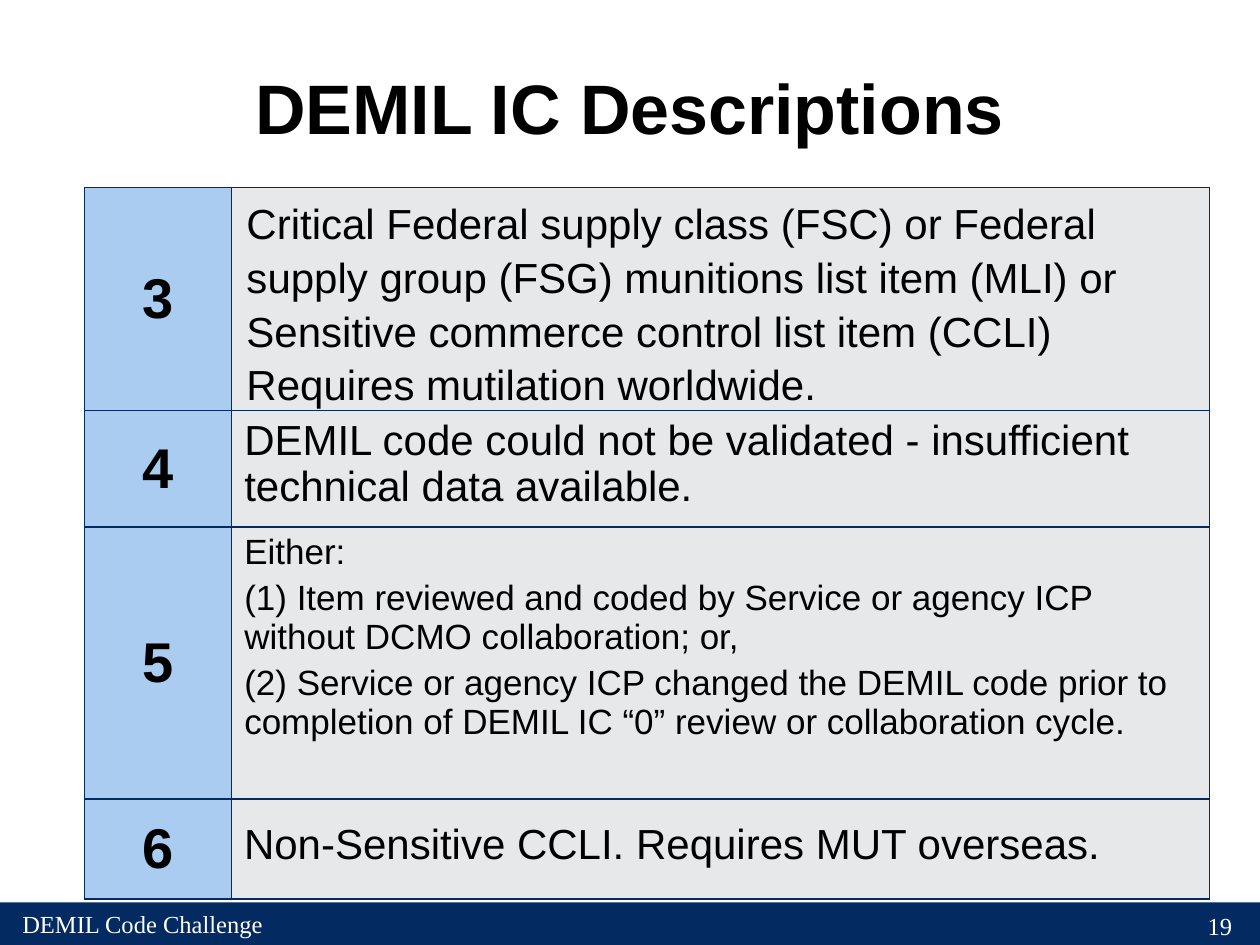
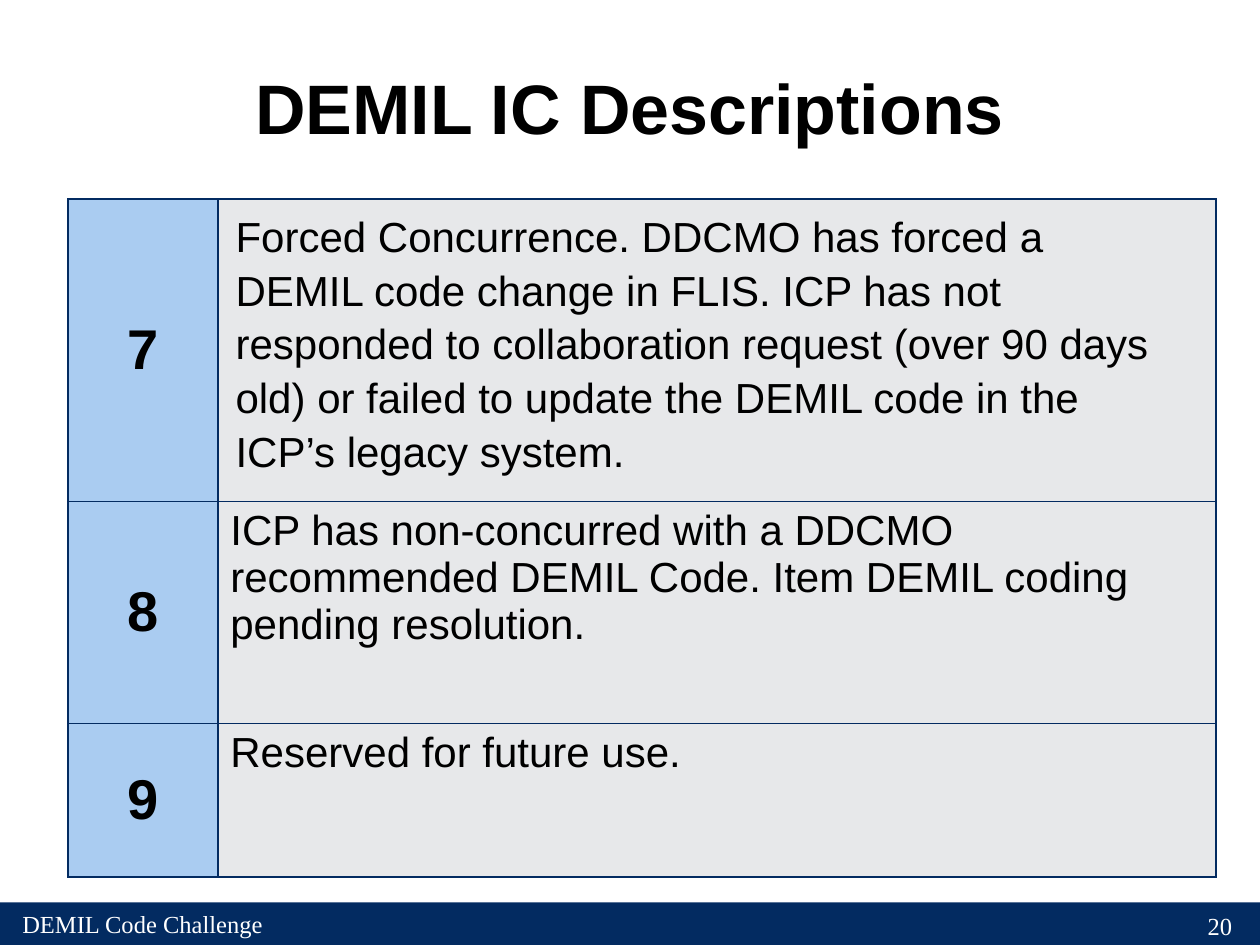
from dataclasses import dataclass, field

from lxml.etree import SubElement
from pptx import Presentation
from pptx.dml.color import RGBColor
from pptx.enum.shapes import MSO_SHAPE as Preset
from pptx.enum.text import MSO_ANCHOR as Anchor, PP_ALIGN as Align
from pptx.oxml.ns import qn
from pptx.util import Cm, Pt


@dataclass(frozen=True)
class Theme:
    navy: str = "032B61"
    code_fill: str = "AACCF1"
    text_fill: str = "E7E8EA"
    black: str = "000000"
    white: str = "FFFFFF"
    sans: str = "Arial"
    serif: str = "Times New Roman"
    title_size: int = 40
    code_size: int = 32
    body_size: int = 24
    small_size: int = 20
    footer_size: int = 14
    border: float = 1


THEME = Theme()


@dataclass(frozen=True)
class TextStyle:
    size: int
    font: str = THEME.sans
    color: str = THEME.black
    bold: bool = False
    align: Align = Align.LEFT
    anchor: Anchor = Anchor.TOP
    line_spacing: float = 1.0


TITLE = TextStyle(THEME.title_size, bold=True, align=Align.CENTER, anchor=Anchor.MIDDLE)
CODE = TextStyle(THEME.code_size, bold=True, align=Align.CENTER, anchor=Anchor.MIDDLE)
BODY = TextStyle(THEME.body_size)
SMALL = TextStyle(THEME.small_size)
OVERLAY = TextStyle(THEME.body_size, line_spacing=1.07)
FOOTER = TextStyle(THEME.footer_size, THEME.serif, THEME.white)
PAGE_NUMBER = TextStyle(THEME.footer_size, THEME.serif, THEME.white, align=Align.RIGHT)


@dataclass(frozen=True)
class Area:
    """Left, top, width and height in centimetres."""
    left: float
    top: float
    width: float
    height: float

    def lengths(self) -> tuple:
        return Cm(self.left), Cm(self.top), Cm(self.width), Cm(self.height)


@dataclass(frozen=True)
class CodeRow:
    code: str
    height: float
    lines: tuple = ()
    style: TextStyle = BODY


@dataclass(frozen=True)
class Overlay:
    """A description laid over an empty table cell."""
    area: Area
    text: str


@dataclass(frozen=True)
class CodePage:
    number: int
    left: float
    top: float
    columns: tuple
    rows: tuple
    overlays: tuple = field(default=())


PAGES = (
    CodePage(
        19, 1.7, 3.78, (2.97, 19.71),
        (
            CodeRow("3", 4.5),
            CodeRow("4", 2.34, (
                "DEMIL code could not be validated - insufficient technical data available.",
            )),
            CodeRow("5", 5.49, (
                "Either:",
                "(1) Item reviewed and coded by Service or agency ICP without DCMO "
                "collaboration; or,",
                "(2) Service or agency ICP changed the DEMIL code prior to completion of "
                "DEMIL IC “0” review or collaboration cycle.",
            ), SMALL),
            CodeRow("6", 2.01),
        ),
        (
            Overlay(Area(4.72, 3.78, 19.28, 4.37),
                    "Critical Federal supply class (FSC) or Federal supply group (FSG) "
                    "munitions list item (MLI) or Sensitive commerce control list item "
                    "(CCLI) Requires mutilation worldwide."),
            Overlay(Area(4.67, 16.28, 19.28, 1.27),
                    "Non-Sensitive CCLI. Requires MUT overseas."),
        ),
    ),
    CodePage(
        20, 1.37, 4.01, (3.02, 20.12),
        (
            CodeRow("7", 6.1),
            CodeRow("8", 4.47, (
                "ICP has non-concurred with a DDCMO recommended DEMIL Code. Item DEMIL "
                "coding pending resolution.",
            )),
            CodeRow("9", 3.1, ("Reserved for future use.",)),
        ),
        (
            Overlay(Area(4.5, 4.04, 19.28, 5.38),
                    "Forced Concurrence. DDCMO has forced a DEMIL code change in FLIS. ICP "
                    "has not responded to collaboration request (over 90 days old) or "
                    "failed to update the DEMIL code in the ICP’s legacy system."),
        ),
    ),
)


def write(frame, lines: tuple, style: TextStyle) -> None:
    for index, line in enumerate(lines):
        para = frame.paragraphs[0] if index == 0 else frame.add_paragraph()
        layout = {"alignment": style.align, "line_spacing": style.line_spacing}
        if index:
            layout["space_before"] = Pt(style.size * 0.2)
        for name, value in layout.items():
            setattr(para, name, value)
        span = para.add_run()
        span.text = line
        formats = {"name": style.font, "size": Pt(style.size), "bold": style.bold}
        for name, value in formats.items():
            setattr(span.font, name, value)
        span.font.color.rgb = RGBColor.from_string(style.color)


def add_text(page, area: Area, text: str, style: TextStyle) -> None:
    frame = page.shapes.add_textbox(*area.lengths()).text_frame
    frame.word_wrap = True
    frame.vertical_anchor = style.anchor
    write(frame, (text,), style)


def add_footer(page, number: int) -> None:
    band = page.shapes.add_shape(Preset.RECTANGLE, *Area(0, 18.19, 25.4, 0.86).lengths())
    band.shadow.inherit = False
    band.fill.solid()
    band.fill.fore_color.rgb = RGBColor.from_string(THEME.navy)
    band.line.fill.background()
    add_text(page, Area(0.2, 18.21, 8.05, 0.81), "DEMIL Code Challenge", FOOTER)
    add_text(page, Area(19.81, 18.24, 5.28, 0.81), str(number), PAGE_NUMBER)


def fill_cell(cell, color: str, lines: tuple, style: TextStyle) -> None:
    properties = cell._tc.get_or_add_tcPr()
    for side in ("lnL", "lnR", "lnT", "lnB"):
        border = SubElement(properties, qn(f"a:{side}"), w=str(Pt(THEME.border)))
        SubElement(SubElement(border, qn("a:solidFill")), qn("a:srgbClr"), val=THEME.navy)
    cell.fill.solid()
    cell.fill.fore_color.rgb = RGBColor.from_string(color)
    cell.vertical_anchor = style.anchor
    write(cell.text_frame, lines, style)


def add_code_table(page, content: CodePage) -> None:
    area = Area(content.left, content.top, sum(content.columns),
                sum(row.height for row in content.rows))
    table = page.shapes.add_table(
        len(content.rows), len(content.columns), *area.lengths()).table
    table.first_row = table.horz_banding = False
    for column, width in zip(table.columns, content.columns):
        column.width = Cm(width)
    for index, row in enumerate(content.rows):
        table.rows[index].height = Cm(row.height)
        fill_cell(table.cell(index, 0), THEME.code_fill, (row.code,), CODE)
        fill_cell(table.cell(index, 1), THEME.text_fill, row.lines, row.style)


def main() -> None:
    deck = Presentation()
    deck.slide_width, deck.slide_height = Cm(25.4), Cm(19.05)
    for content in PAGES:
        page = deck.slides.add_slide(deck.slide_layouts[6])
        add_footer(page, content.number)
        add_code_table(page, content)
        add_text(page, Area(1.9, 0.76, 21.59, 2.79), "DEMIL IC Descriptions", TITLE)
        for overlay in content.overlays:
            add_text(page, overlay.area, overlay.text, OVERLAY)
    deck.save("out.pptx")


if __name__ == "__main__":
    main()
